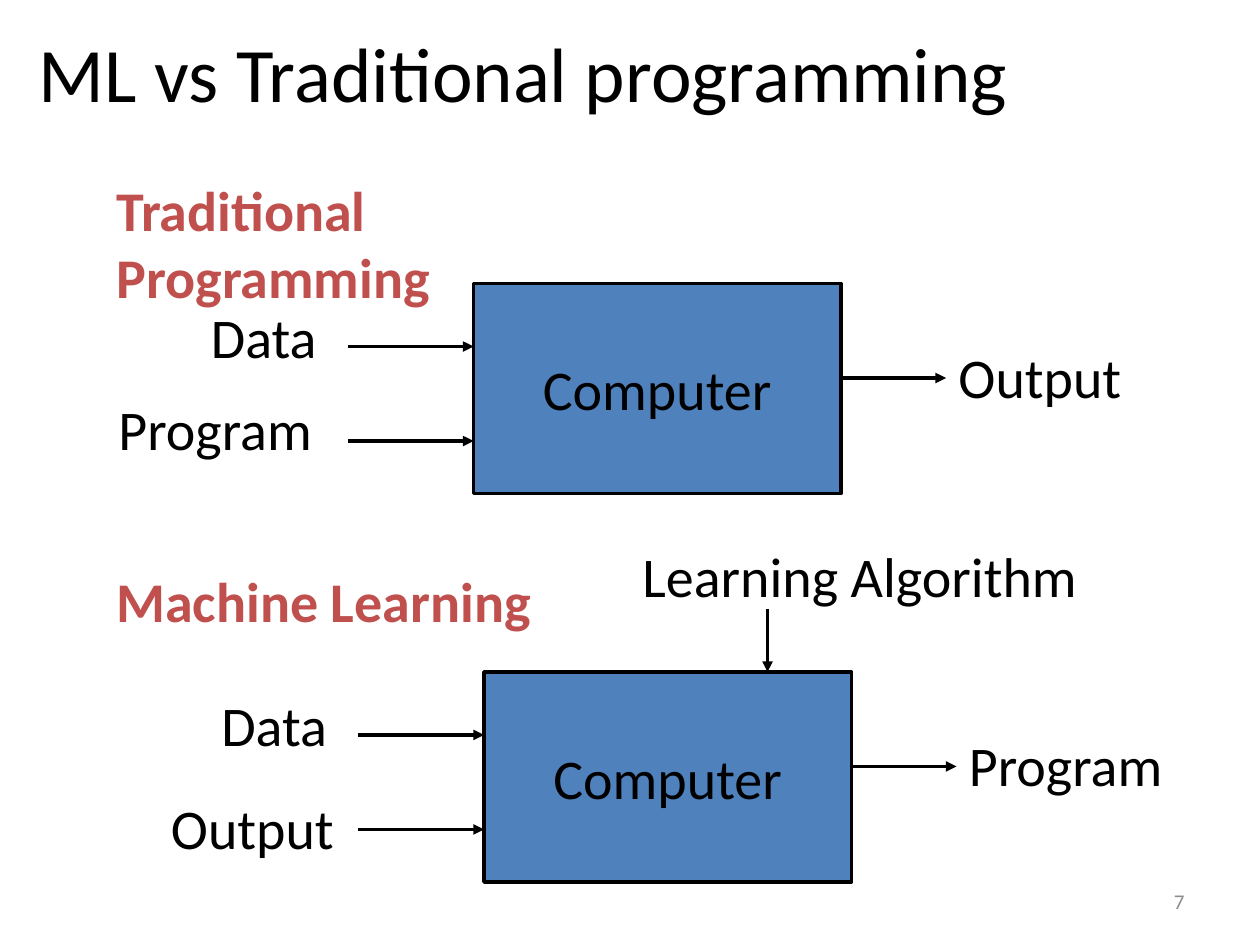
from dataclasses import dataclass
from lxml.etree import SubElement
from pptx import Presentation
from pptx.dml.color import RGBColor as Color
from pptx.enum.shapes import MSO_CONNECTOR as Connector, MSO_SHAPE as Shape
from pptx.enum.text import MSO_ANCHOR as Anchor, PP_ALIGN as Align
from pptx.oxml.ns import qn
from pptx.util import Inches, Pt


@dataclass(frozen=True)
class Theme:
    font: str = "Calibri"
    ink: str = "000000"
    box: str = "4F81BD"
    heading: str = "C0504D"
    muted: str = "8C8C8C"
    title_size: int = 44
    body_size: int = 32
    number_size: int = 12
    line_width: int = 2
    columns: int = 120
    rows: int = 90


class Board:
    """Draws flow diagrams on a slide measured in grid columns and rows."""

    def __init__(self, presentation, theme):
        self.theme = theme
        self.slide = presentation.slides.add_slide(presentation.slide_layouts[6])
        self.column = presentation.slide_width / theme.columns
        self.row = presentation.slide_height / theme.rows

    def place(self, *lengths):
        units = (self.column, self.row) * 2
        return [round(length * unit) for length, unit in zip(lengths, units)]

    def set_text(self, shape, text, size=None, color=None, bold=False, align=Align.LEFT, wrap=False):
        frame = shape.text_frame
        frame.text = text
        frame.word_wrap = wrap
        paragraph = frame.paragraphs[0]
        paragraph.alignment = align
        font = paragraph.runs[0].font
        font.name = self.theme.font
        font.size = Pt(size or self.theme.body_size)
        font.bold = bold
        font.color.rgb = Color.from_string(color or self.theme.ink)

    def stroke(self, line):
        line.color.rgb = Color.from_string(self.theme.ink)
        line.width = Pt(self.theme.line_width)

    def label(self, text, left, top, width, height=7.6, anchor=Anchor.TOP, **style):
        shape = self.slide.shapes.add_textbox(*self.place(left, top, width, height))
        shape.text_frame.vertical_anchor = anchor
        self.set_text(shape, text, **style)

    def heading(self, text, top, width):
        self.label(text, 9.9, top, width, color=self.theme.heading, bold=True)

    def box(self, text, left, top, width, height):
        shape = self.slide.shapes.add_shape(Shape.RECTANGLE, *self.place(left, top, width, height))
        shape.shadow.inherit = False
        shape.fill.solid()
        shape.fill.fore_color.rgb = Color.from_string(self.theme.box)
        self.stroke(shape.line)
        shape.text_frame.vertical_anchor = Anchor.MIDDLE
        self.set_text(shape, text, align=Align.CENTER)

    def arrow(self, left, top, across=0, down=0):
        ends = self.place(left, top, left + across, top + down)
        connector = self.slide.shapes.add_connector(Connector.STRAIGHT, *ends)
        self.stroke(connector.line)
        properties = connector._element.spPr
        SubElement(properties.find(qn("a:ln")), qn("a:tailEnd"), type="triangle")
        SubElement(properties, qn("a:effectLst"))

    def computer(self, left, top, inputs, result, result_width):
        width, height = 35, 20
        self.box("Computer", left, top, width, height)
        for arrow_row, (text, indent, label_row, label_width) in zip((6, 15), inputs):
            self.arrow(left - 12, top + arrow_row, across=12)
            self.label(text, left - indent, top + label_row, label_width)
        self.arrow(left + width, top + 9, across=10)
        self.label(result, left + width + 10, top + 5, result_width)


def main():
    theme = Theme()
    presentation = Presentation()
    presentation.slide_width, presentation.slide_height = Inches(10), Inches(7.5)
    board = Board(presentation, theme)
    data = ("Data", 26.2, 1.2, 13.7)

    board.label("ML vs Traditional programming", 2.5, 1.8, 95.8, 10, size=theme.title_size)
    board.heading("Traditional Programming", 16.1, 57.2)
    board.computer(45.1, 27, (data, ("Program", 35, 10, 22.8)), "Output", 18.4)

    board.heading("Machine Learning", 53.4, 41.9)
    board.computer(46.1, 64, (data, ("Output", 31, 11, 18.4)), "Program", 22.8)
    board.label("Learning Algorithm", 60, 51, 44.3)
    board.arrow(73.1, 58, down=6)

    board.label("7", 86, 83.4, 28, 4.8, Anchor.MIDDLE, size=theme.number_size,
                color=theme.muted, align=Align.RIGHT, wrap=True)
    presentation.save("out.pptx")


if __name__ == "__main__":
    main()
